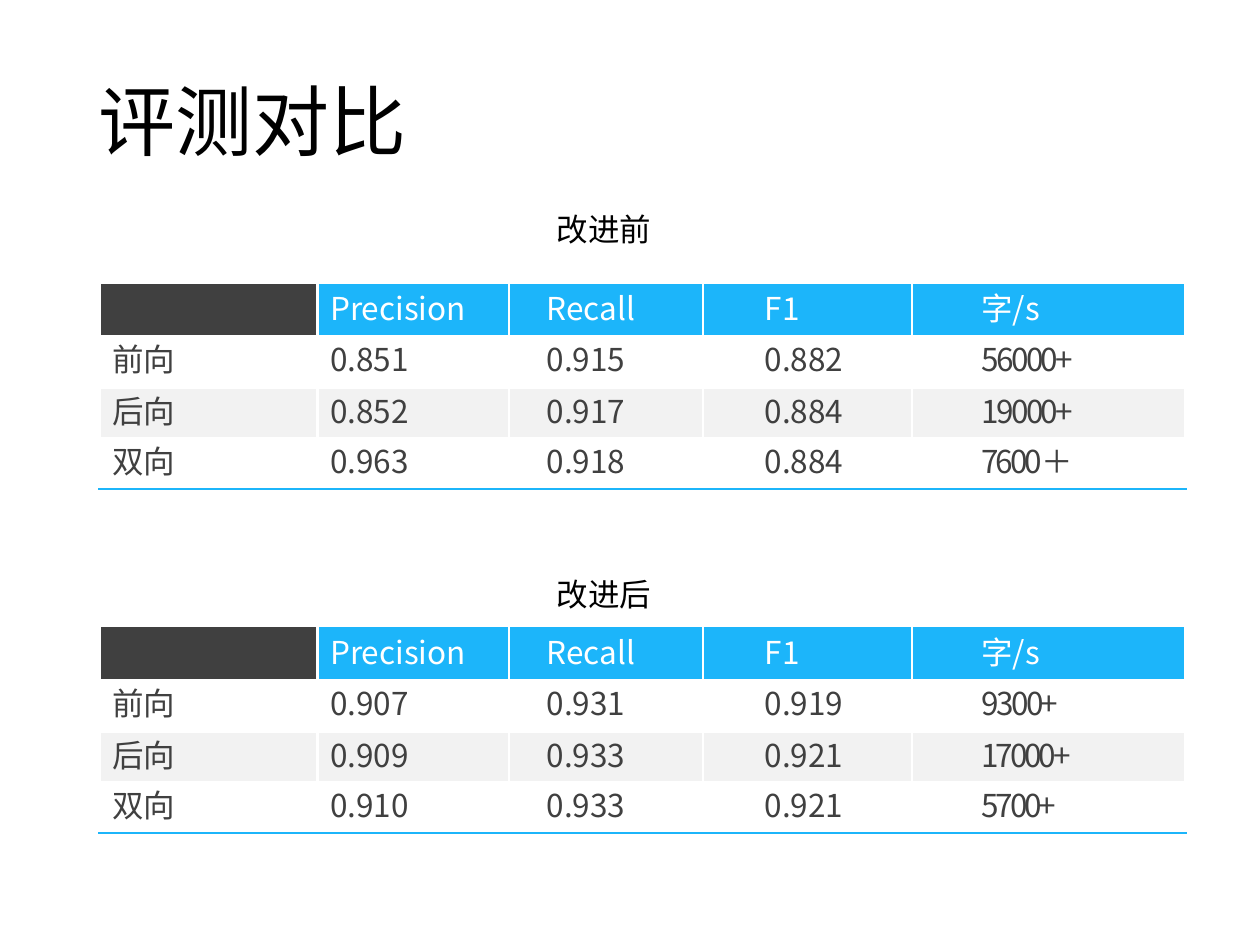
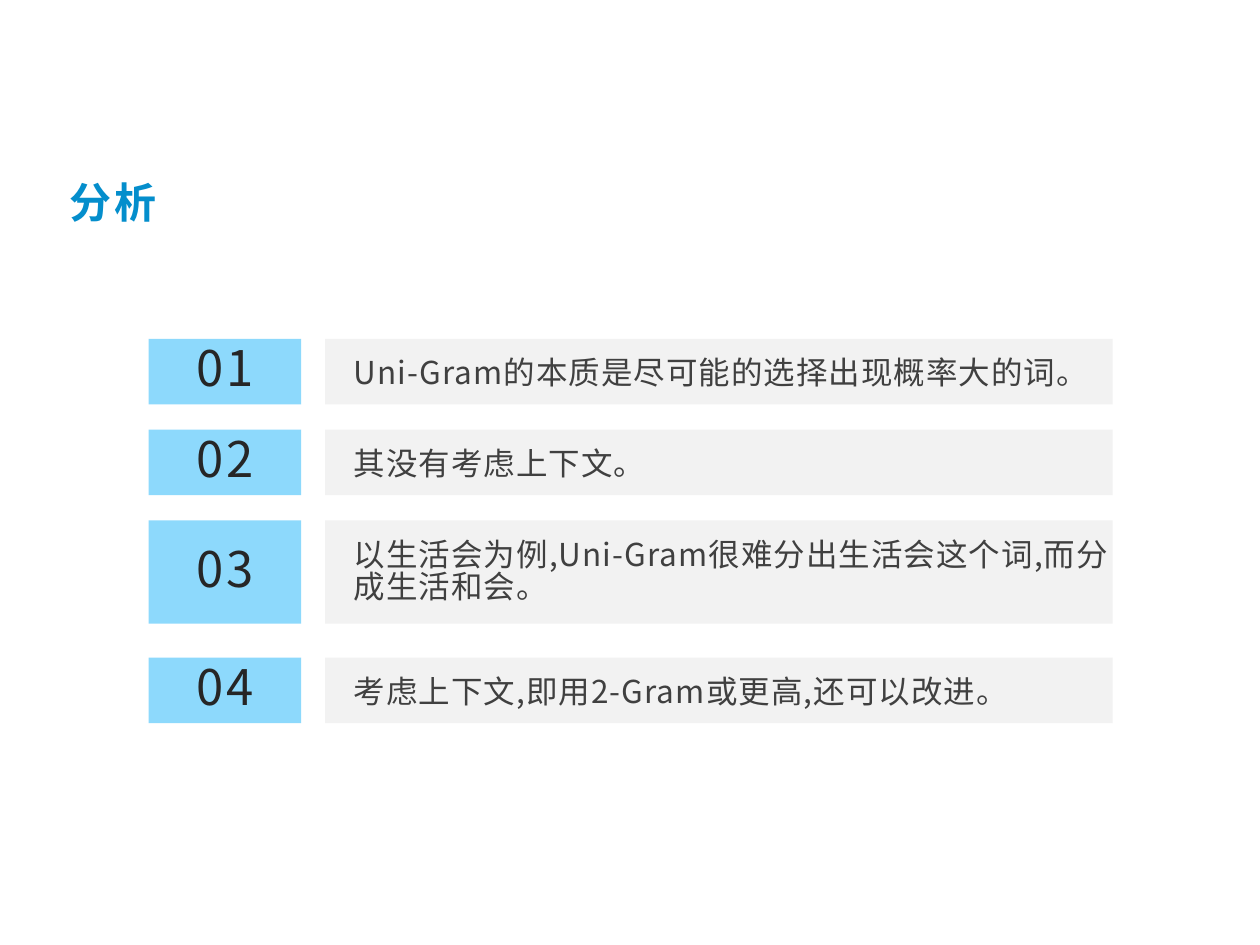
"""Build two slides: segmentation scores before and after the change, and their analysis."""
from dataclasses import dataclass

from lxml.etree import SubElement
from pptx import Presentation
from pptx.dml.color import RGBColor
from pptx.enum.shapes import MSO_SHAPE
from pptx.enum.text import MSO_ANCHOR, MSO_AUTO_SIZE, PP_ALIGN
from pptx.oxml.ns import qn
from pptx.util import Inches, Pt


@dataclass(frozen=True)
class Theme:
    font: str = "Noto Sans CJK SC"
    black: str = "000000"
    white: str = "FFFFFF"
    dark: str = "404040"
    ink: str = "262626"
    accent: str = "1CB5FA"
    heading: str = "048ECC"
    pale: str = "F2F2F2"
    title_size: int = 44
    number_size: int = 28
    heading_size: int = 24
    text_size: int = 18
    line_spacing: float = 0.86
    table_spacing: float = 0.8
    border: float = 1.5


theme = Theme()


def write_text(frame, text, size, color, bold=False, tracking=0, indent=0,
               margins=(0, 0, 0, 0), wrap=True, **paragraph_format):
    """Fill a text frame with one formatted paragraph."""
    frame.word_wrap = wrap
    sides = ("margin_left", "margin_top", "margin_right", "margin_bottom")
    for side, margin in zip(sides, margins):
        setattr(frame, side, Inches(margin))
    paragraph = frame.paragraphs[0]
    values = {"line_spacing": theme.line_spacing, "alignment": PP_ALIGN.LEFT}
    for name, value in {**values, **paragraph_format}.items():
        setattr(paragraph, name, value)
    properties = paragraph._p.get_or_add_pPr()
    properties.set("marL", str(Inches(indent)))
    properties.set("indent", "0")
    run = paragraph.add_run()
    run.text = text
    for name, value in {"name": theme.font, "size": Pt(size), "bold": bold}.items():
        setattr(run.font, name, value)
    run.font.color.rgb = RGBColor.from_string(color)
    run_properties = run._r.get_or_add_rPr()
    run_properties.set("spc", str(round(tracking * 100)))
    SubElement(run_properties, qn("a:ea")).set("typeface", theme.font)


def set_border(cell, side, color=None):
    """Draw one cell border, or hide it when no colour is given."""
    line = SubElement(cell._tc.get_or_add_tcPr(), qn(f"a:ln{side}"))
    line.set("w", str(Pt(theme.border)))
    if color:
        fill = SubElement(line, qn("a:solidFill"))
        SubElement(fill, qn("a:srgbClr")).set("val", color)
    else:
        SubElement(line, qn("a:noFill"))


presentation = Presentation()
presentation.slide_width = Inches(10)
presentation.slide_height = Inches(7.5)
title_layout = presentation.slide_layouts[5]

titles = [
    ("评测对比", (0.77, 0.68, 2.6, 0.75),
     {"size": theme.title_size, "color": theme.black, "margins": (0, 0.01, 0, 0),
      "indent": 0.01, "space_before": Pt(1)}),
    ("分析", (0.5, 1.44, 9, 0.5),
     {"size": theme.heading_size, "color": theme.heading, "bold": True,
      "tracking": 1.6, "margins": (0.05, 0.02, 0.05, 0.02)}),
]
slides = []
for text, box, title_format in titles:
    slide = presentation.slides.add_slide(title_layout)
    title = slide.shapes.title
    for name, value in zip(("left", "top", "width", "height"), box):
        setattr(title, name, Inches(value))
    title.text_frame.auto_size = MSO_AUTO_SIZE.NONE
    title.text_frame.vertical_anchor = MSO_ANCHOR.TOP
    write_text(title.text_frame, text, **title_format)
    slides.append(slide)
comparison_slide, analysis_slide = slides

column_widths = (1.73, 1.52, 1.54, 1.66, 2.17)
column_indents = (0.1, 0.1, 0.3, 0.49, 0.55)
row_heights = (0.41, 0.43, 0.38, 0.41)
row_margins = (0.06, 0.06, 0.04, 0.06)
row_spaces = (4.5, 4.7, 3, 4.5)
row_fills = (theme.accent, theme.white, theme.pale, theme.white)
header = ("", "Precision", "Recall", "F1", "字/s")
score_tables = [
    ("改进前", 1.7, 2.25, (0, -1.5, -1.5, -1.8), [
        ("前向", "0.851", "0.915", "0.882", "56000+"),
        ("后向", "0.852", "0.917", "0.884", "19000+"),
        ("双向", "0.963", "0.918", "0.884", "7600＋"),
    ]),
    ("改进后", 4.6, 4.98, (0, -1.5, -1.8, -1.8), [
        ("前向", "0.907", "0.931", "0.919", "9300+"),
        ("后向", "0.909", "0.933", "0.921", "17000+"),
        ("双向", "0.910", "0.933", "0.921", "5700+"),
    ]),
]
for caption, caption_top, table_top, speed_tracking, scores in score_tables:
    caption_box = comparison_slide.shapes.add_textbox(
        Inches(4.41), Inches(caption_top), Inches(0.78), Inches(0.32))
    write_text(caption_box.text_frame, caption, theme.text_size, theme.black,
               margins=(0, 0.01, 0, 0), indent=0.01, wrap=False, space_before=Pt(1))

    rows = [header, *scores]
    table = comparison_slide.shapes.add_table(
        len(rows), len(header), Inches(0.79), Inches(table_top),
        Inches(sum(column_widths)), Inches(sum(row_heights))).table
    table.first_row = table.horz_banding = False
    for column, width in zip(table.columns, column_widths):
        column.width = Inches(width)
    for row_index, values in enumerate(rows):
        table.rows[row_index].height = Inches(row_heights[row_index])
        is_header = row_index == 0
        is_last = row_index == len(rows) - 1
        for column_index, value in enumerate(values):
            cell = table.cell(row_index, column_index)
            is_speed = column_index == len(header) - 1
            write_text(cell.text_frame, value, theme.text_size,
                       theme.white if is_header else theme.dark,
                       tracking=speed_tracking[row_index] if is_speed else 0,
                       indent=column_indents[column_index],
                       line_spacing=theme.table_spacing,
                       space_before=Pt(row_spaces[row_index]))
            cell.margin_left = cell.margin_right = cell.margin_bottom = 0
            cell.margin_top = Inches(row_margins[row_index])
            borders = {"L": theme.white, "R": theme.white, "T": None,
                       "B": theme.accent if is_last else None}
            for side, color in borders.items():
                set_border(cell, side, color)
            is_corner = is_header and column_index == 0
            cell.fill.solid()
            cell.fill.fore_color.rgb = RGBColor.from_string(
                theme.dark if is_corner else row_fills[row_index])

points = [
    (2.69, 0.52, "Uni-Gram的本质是尽可能的选择出现概率大的词。"),
    (3.41, 0.52, "其没有考虑上下文。"),
    (4.13, 0.82, "以生活会为例,Uni-Gram很难分出生活会这个词,而分成生活和会。"),
    (5.22, 0.52, "考虑上下文,即用2-Gram或更高,还可以改进。"),
]
for number, (top, height, text) in enumerate(points, start=1):
    bars = [(1.18, 1.21, theme.accent), (2.58, 6.25, theme.pale)]
    for left, width, color in bars:
        bar = analysis_slide.shapes.add_shape(
            MSO_SHAPE.RECTANGLE, Inches(left), Inches(top), Inches(width), Inches(height))
        bar.shadow.inherit = False
        bar.line.fill.background()
        bar.fill.solid()
        bar.fill.fore_color.rgb = RGBColor.from_string(color)
        if color == theme.accent:
            color_element = bar._element.spPr.find(qn("a:solidFill"))[0]
            SubElement(color_element, qn("a:alpha")).set("val", "50000")

    number_box = analysis_slide.shapes.add_textbox(
        Inches(1.54), Inches(top + 0.06), Inches(0.49), Inches(height - 0.12))
    number_box.text_frame.vertical_anchor = MSO_ANCHOR.MIDDLE
    write_text(number_box.text_frame, f"{number:02}", theme.number_size, theme.ink,
               tracking=1.6, wrap=False, alignment=PP_ALIGN.CENTER)

    text_box = analysis_slide.shapes.add_textbox(
        Inches(2.71), Inches(top + 0.11), Inches(6.41), Inches(0.31))
    write_text(text_box.text_frame, text, theme.text_size, theme.dark,
               tracking=0.6, margins=(0.1, 0.05, 0.1, 0.05))

presentation.save("out.pptx")
